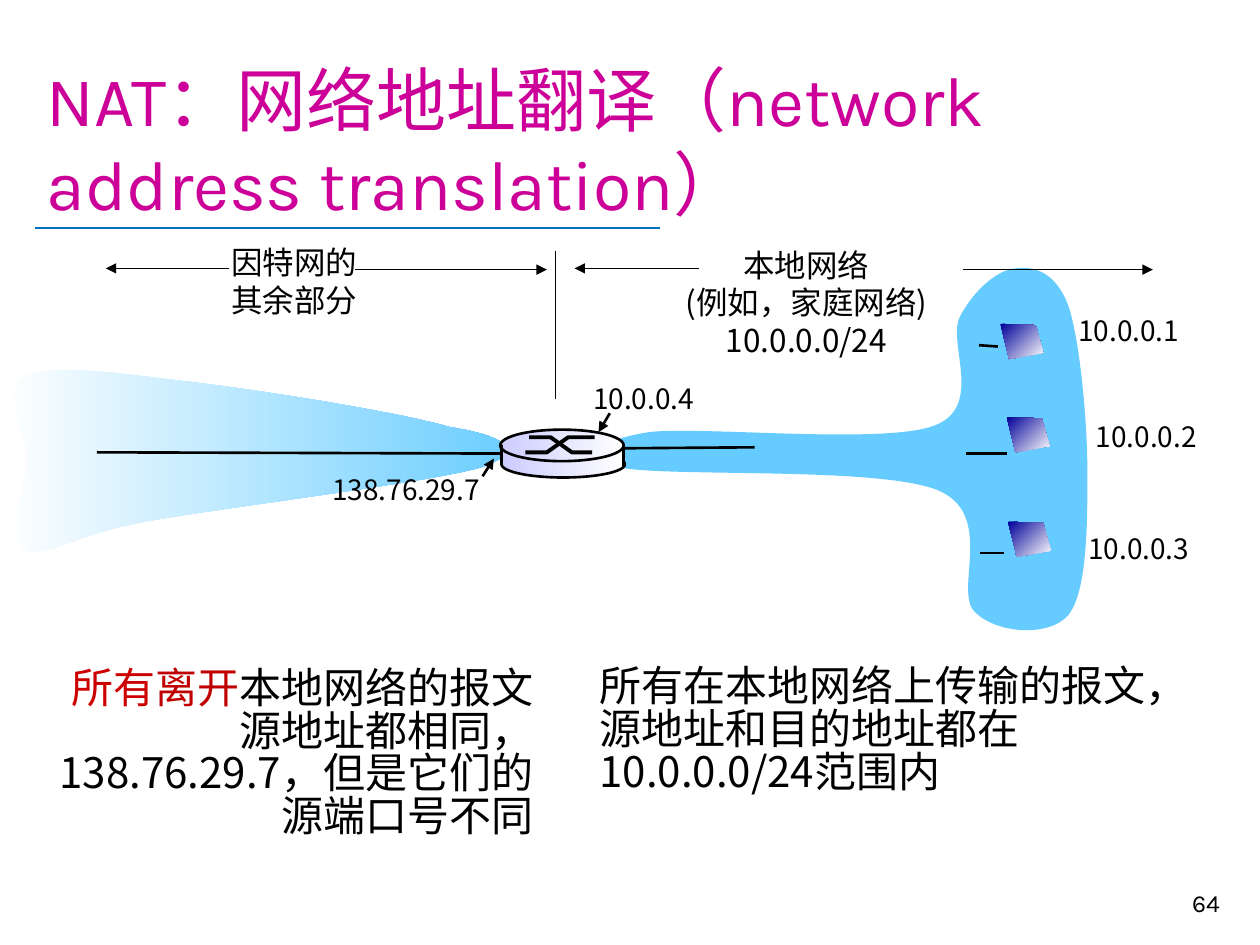
from pptx import Presentation
from pptx.dml.color import RGBColor
from pptx.enum.shapes import MSO_CONNECTOR, MSO_SHAPE
from pptx.enum.text import MSO_ANCHOR, MSO_AUTO_SIZE, PP_ALIGN
from pptx.oxml.ns import qn
from pptx.util import Inches, Pt
from lxml import etree

LEFT, CENTER, RIGHT = PP_ALIGN.LEFT, PP_ALIGN.CENTER, PP_ALIGN.RIGHT
TOP, BOTTOM = MSO_ANCHOR.TOP, MSO_ANCHOR.BOTTOM
NO_FIT = MSO_AUTO_SIZE.NONE
STRAIGHT = MSO_CONNECTOR.STRAIGHT
OVAL, RECT = MSO_SHAPE.OVAL, MSO_SHAPE.RECTANGLE
TITLE_ONLY = 5

LATIN, CJK = "Karla", "Noto Sans CJK SC"
COLORS = {
    "title": "CC0099", "rule": "0070C0", "ink": "000000", "red": "CC0000",
    "dark red": "C00000", "network": "66CCFF", "white": "FFFFFF",
    "router": "CCCCFF", "screen": "000099",
}

TITLE = "NAT：网络地址翻译（network address translation）"
ADDRESSES = [
    ("10.0.0.1", (8.46, 2.44, 1.1, 0.37)),
    ("10.0.0.2", (8.6, 3.28, 1.1, 0.37)),
    ("10.0.0.3", (8.54, 4.17, 1.1, 0.37)),
    ("10.0.0.4", (4.61, 2.98, 1.1, 0.37)),
    ("138.76.29.7", (2.54, 3.7, 1.44, 0.37)),
]
NOTES = [
    ([[("本地网络", "ink")], [("(例如，家庭网络)", "ink")], [("10.0.0.0/24", "ink")]],
     (5.29, 1.9, 2.22, 1.01), {"size": 18, "align": CENTER}),
    ([[("因特网的\v其余部分", "ink")]],
     (1.73, 1.88, 1.21, 0.71), {"size": 18, "align": CENTER, "wrap": False}),
    ([[("所有在本地网络上传输的报文，\v源地址和目的地址都在\v10.0.0.0/24范围内", "ink")]],
     (4.66, 5.25, 4.91, 1.13), {"size": 24, "spacing": 0.85, "wrap": False}),
    ([[("所有", "red"), ("离开", "dark red"),
       ("本地网络的报文源地址都相同， 138.76.29.7，但是它们的源端口号不同", "ink")]],
     (0.3, 5.26, 4.03, 1.47), {"size": 24, "spacing": 0.85, "align": RIGHT}),
]

LOCAL_NETWORK = [
    (5.15, 3.43),
    (5.56, 3.38), (7, 3.53), (7.41, 3.38), (7.82, 3.23), (7.51, 2.72), (7.62, 2.51),
    (7.73, 2.3), (7.92, 2.14), (8.06, 2.13), (8.21, 2.11), (8.38, 2.16), (8.48, 2.43),
    (8.57, 2.7), (8.63, 3.34), (8.63, 3.75), (8.63, 4.15), (8.63, 4.69), (8.48, 4.88),
    (8.33, 5.06), (7.91, 5.03), (7.74, 4.86), (7.56, 4.7), (7.91, 4.08), (7.44, 3.89),
    (6.97, 3.7), (5.31, 3.79), (4.92, 3.71), (4.54, 3.64), (4.76, 3.49), (5.15, 3.43),
]
INTERNET = [
    (3.57, 3.39),
    (3.17, 3.27), (1.97, 3.08), (1.41, 3.02), (0.85, 2.95), (0.4, 2.89), (0.2, 2.99),
    (0, 3.09), (0.21, 3.41), (0.21, 3.64), (0.21, 3.87), (0.04, 4.28), (0.2, 4.36),
    (0.36, 4.44), (0.55, 4.25), (1.15, 4.14), (1.75, 4.03), (3.4, 3.83), (3.81, 3.71),
    (4.21, 3.58), (3.98, 3.45), (3.57, 3.39),
]
CABLES = [
    (4.67, 3.56, 5.99, 3.55), (7.99, 3.6, 7.67, 3.6), (7.77, 2.74, 7.92, 2.75),
    (7.78, 4.39, 7.97, 4.39), (0.77, 3.59, 4.08, 3.6),
]
POINTERS = [(4.84, 3.28, 4.75, 3.43), (3.83, 3.78, 3.92, 3.64)]
SPANS = [
    (7.64, 2.14, 9.15, 2.14), (5.55, 2.13, 4.56, 2.13),
    (2.82, 2.14, 4.34, 2.14), (1.82, 2.13, 0.84, 2.13),
]
DIVIDER = (4.41, 1.99, 4.41, 3.17)
ROUTER_BODY = [
    (OVAL, (3.98, 3.58, 0.98, 0.21), 1.5),
    (RECT, (3.98, 3.55, 0.98, 0.13), None),
    (OVAL, (3.97, 3.41, 0.98, 0.25), 1.5),
]
ROUTER_CROSS = [
    [(4.17, 3.59), (4.34, 3.59), (4.51, 3.47), (4.72, 3.47)],
    [(4.2, 3.47), (4.37, 3.47), (4.54, 3.59), (4.7, 3.59)],
]
ROUTER_SIDES = [(3.98, 3.53, 3.98, 3.69), (4.95, 3.54, 4.95, 3.7)]
SCREEN = [(0, 0), (0.28, 0.01), (0.34, 0.23), (0.07, 0.28), (0, 0)]
HOSTS = [(7.94, 2.57), (7.99, 3.31), (8, 4.14)]


def rgb(name):
    return RGBColor.from_string(COLORS[name])


def paint(shape, fill=(), angle=0, width=None):
    shape.shadow.inherit = False
    if len(fill) == 2:
        shape.fill.gradient()
        shape.fill.gradient_angle = angle
        for stop, name in zip(shape.fill.gradient_stops, fill):
            stop.color.rgb = rgb(name)
    elif fill:
        shape.fill.solid()
        shape.fill.fore_color.rgb = rgb(fill[0])
    else:
        shape.fill.background()
    if width:
        shape.line.color.rgb = rgb("ink")
        shape.line.width = Pt(width)
    else:
        shape.line.fill.background()


def outline(parent, points, close=True, **style):
    corners = [(Inches(x), Inches(y)) for x, y in points]
    builder = parent.build_freeform(*corners[0], scale=1.0)
    builder.add_line_segments(corners[1:], close=close)
    shape = builder.convert_to_shape()
    paint(shape, **style)
    return shape


def bend(shape):
    segments = list(shape._element.iter(qn("a:lnTo")))
    for triple in zip(segments[::3], segments[1::3], segments[2::3]):
        curve = etree.Element(qn("a:cubicBezTo"))
        triple[0].addprevious(curve)
        for segment in triple:
            curve.append(segment[0])
            segment.getparent().remove(segment)


def connect(parent, ends, width, color="ink", arrow=False):
    connector = parent.add_connector(STRAIGHT, *map(Inches, ends))
    connector.line.color.rgb = rgb(color)
    connector.line.width = Pt(width)
    properties = connector._element.spPr
    if arrow:
        etree.SubElement(properties.find(qn("a:ln")), qn("a:tailEnd"), type="triangle")
    etree.SubElement(properties, qn("a:effectLst"))


def write(shape, paragraphs, size, font=CJK, align=LEFT, anchor=TOP, wrap=True, spacing=None):
    frame = shape.text_frame
    frame_format = {"word_wrap": wrap, "vertical_anchor": anchor, "auto_size": NO_FIT}
    for attribute, value in frame_format.items():
        setattr(frame, attribute, value)
    for index, runs in enumerate(paragraphs):
        paragraph = frame.add_paragraph() if index else frame.paragraphs[0]
        for attribute, value in {"alignment": align, "line_spacing": spacing}.items():
            setattr(paragraph, attribute, value)
        for words, color in runs:
            for order, line in enumerate(words.split("\v")):
                if order:
                    paragraph.add_line_break()
                run = paragraph.add_run()
                run.text = line
                for attribute, value in {"name": font, "size": Pt(size)}.items():
                    setattr(run.font, attribute, value)
                run.font.color.rgb = rgb(color)
                etree.SubElement(run._r.get_or_add_rPr(), qn("a:ea"), typeface=CJK)


def main():
    """Build the network address translation slide."""
    deck = Presentation()
    deck.slide_width, deck.slide_height = Inches(10), Inches(7.5)
    slide = deck.slides.add_slide(deck.slide_layouts[TITLE_ONLY])
    shapes = slide.shapes

    title = shapes.title
    title_place = dict(zip(("left", "top", "width", "height"), (0.27, 0.23, 9.51, 1.6)))
    for attribute, value in title_place.items():
        setattr(title, attribute, Inches(value))
    write(title, [[(TITLE, "title")]], 40, LATIN, anchor=BOTTOM)
    connect(shapes, (0.28, 1.81, 5.24, 1.81), 1.25, "rule")

    bend(outline(shapes, LOCAL_NETWORK, fill=("network",)))
    bend(outline(shapes, INTERNET, fill=("white", "network")))
    for lines, width, arrow in ((CABLES, 1.5, False), (POINTERS, 1.5, True),
                                (SPANS, 0.75, True), ([DIVIDER], 0.75, False)):
        for ends in lines:
            connect(shapes, ends, width, arrow=arrow)

    for address, place in ADDRESSES:
        write(shapes.add_textbox(*map(Inches, place)), [[(address, "ink")]], 16)
    for paragraphs, place, style in NOTES:
        write(shapes.add_textbox(*map(Inches, place)), paragraphs, **style)
    page = shapes.add_textbox(*map(Inches, (7.7, 6.83, 2.08, 0.5)))
    write(page, [[("64", "ink")]], 14, LATIN, RIGHT, BOTTOM)

    router = shapes.add_group_shape().shapes
    for kind, place, width in ROUTER_BODY:
        paint(router.add_shape(kind, *map(Inches, place)), ("router", "white"), width=width)
    for points in ROUTER_CROSS:
        outline(router, points, close=False, width=2.25)
    for ends in ROUTER_SIDES:
        connect(router, ends, 1.5)
    for left, top in HOSTS:
        outline(shapes, [(left + x, top + y) for x, y in SCREEN],
                fill=("screen", "white"), angle=315)
    deck.save("out.pptx")


if __name__ == "__main__":
    main()
